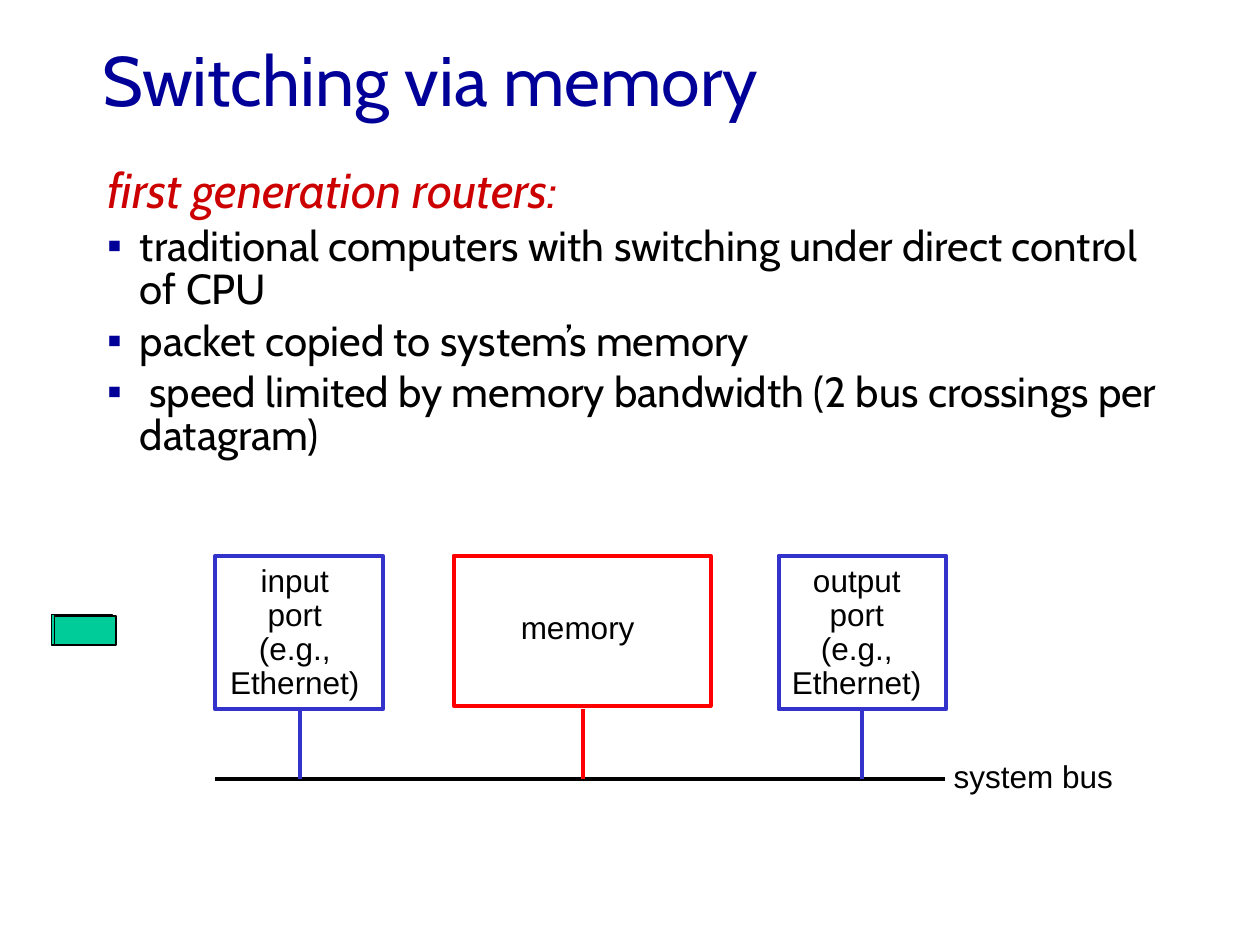
"""Build the slide "Switching via memory"."""
from typing import NamedTuple

from lxml import etree
from pptx import Presentation
from pptx.dml.color import RGBColor
from pptx.enum import shapes, text
from pptx.oxml import ns
from pptx.util import Inches, Pt

NAVY = RGBColor(0x00, 0x00, 0x99)
CRIMSON = RGBColor(0xCC, 0x00, 0x00)
BLACK = RGBColor(0x00, 0x00, 0x00)
WHITE = RGBColor(0xFF, 0xFF, 0xFF)
BLUE = RGBColor(0x33, 0x33, 0xCC)
RED = RGBColor(0xFF, 0x00, 0x00)
GREEN = RGBColor(0x00, 0xCC, 0x99)


class Box(NamedTuple):
    left: float
    top: float
    width: float
    height: float
    line: RGBColor
    fill: RGBColor | None = None
    weight: float = 2.25


class Label(NamedTuple):
    lines: list[str]
    left: float
    top: float
    width: float
    height: float
    align: text.PP_ALIGN = text.PP_ALIGN.CENTER
    spacing: float = 0.9
    wrap: bool = False


class Line(NamedTuple):
    x1: float
    y1: float
    x2: float
    y2: float
    color: RGBColor


def place(sp, left: float, top: float, width: float, height: float) -> None:
    """Move and size a shape, in inches."""
    sp.left, sp.top = Inches(left), Inches(top)
    sp.width, sp.height = Inches(width), Inches(height)


def add_run(p, words: str, font: str, size: float, color: RGBColor, italic: bool = False) -> None:
    """Append one formatted run to a paragraph."""
    r = p.add_run()
    r.text = words
    r.font.name, r.font.size, r.font.italic = font, Pt(size), italic
    r.font.color.rgb = color


def set_bullet(p, char: str | None) -> None:
    """Give a paragraph a hanging indent and a navy bullet, or none."""
    pPr = p._p.get_or_add_pPr()
    pPr.set("marL", str(Inches(0.26)))
    pPr.set("indent", str(-Inches(0.26)))
    if char is None:
        etree.SubElement(pPr, ns.qn("a:buNone"))
        return
    clr = etree.SubElement(pPr, ns.qn("a:buClr"))
    etree.SubElement(clr, ns.qn("a:srgbClr"), val=str(NAVY))
    etree.SubElement(pPr, ns.qn("a:buFont"), typeface="Arial")
    etree.SubElement(pPr, ns.qn("a:buChar"), char=char)


def draw_box(s, box: Box) -> None:
    """Draw an outlined rectangle."""
    sp = s.shapes.add_shape(shapes.MSO_SHAPE.RECTANGLE, *map(Inches, box[:4]))
    sp.shadow.inherit = False
    if box.fill is None:
        sp.fill.background()
    else:
        sp.fill.solid()
        sp.fill.fore_color.rgb = box.fill
    sp.line.color.rgb, sp.line.width = box.line, Pt(box.weight)


def draw_label(s, label: Label) -> None:
    """Draw a text box with one paragraph per line."""
    sp = s.shapes.add_textbox(*map(Inches, label[1:5]))
    tf = sp.text_frame
    tf.word_wrap = label.wrap
    for i, words in enumerate(label.lines):
        p = tf.add_paragraph() if i else tf.paragraphs[0]
        p.alignment, p.line_spacing = label.align, label.spacing
        add_run(p, words, "Arial", 18, BLACK)


def draw_line(s, line: Line) -> None:
    """Draw a straight connector without a shadow."""
    sp = s.shapes.add_connector(shapes.MSO_CONNECTOR.STRAIGHT, *map(Inches, line[:4]))
    sp.line.color.rgb, sp.line.width = line.color, Pt(2.25)
    etree.SubElement(sp._element.spPr, ns.qn("a:effectLst"))


def fill_title(sp) -> None:
    """Write the slide title."""
    place(sp, 0.71, 0.29, 8.5, 0.67)
    tf = sp.text_frame
    tf.auto_size = text.MSO_AUTO_SIZE.NONE
    tf.vertical_anchor = text.MSO_ANCHOR.MIDDLE
    p = tf.paragraphs[0]
    p.alignment = text.PP_ALIGN.LEFT
    add_run(p, "Switching via memory", "Cabin", 40, NAVY)


def fill_body(sp) -> None:
    """Write the heading and the bulleted list."""
    place(sp, 0.75, 1.29, 8.58, 1.17)
    tf = sp.text_frame
    tf.auto_size = text.MSO_AUTO_SIZE.NONE
    tf.vertical_anchor = text.MSO_ANCHOR.TOP
    items = [
        "first generation routers:",
        "traditional computers with switching under direct control of CPU",
        "packet copied to system’s memory",
        " speed limited by memory bandwidth (2 bus crossings per datagram)",
    ]
    for i, words in enumerate(items):
        p = tf.add_paragraph() if i else tf.paragraphs[0]
        set_bullet(p, "▪" if i else None)
        p.line_spacing, p.space_before = 0.85, Pt(5 if i else 0)
        if i:
            add_run(p, words, "Cabin", 24, BLACK)
        else:
            add_run(p, words, "Cabin", 28, CRIMSON, italic=True)


def main() -> None:
    """Build and save the presentation."""
    prs = Presentation()
    prs.slide_width, prs.slide_height = Inches(10), Inches(7.5)
    s = prs.slides.add_slide(prs.slide_layouts[1])
    fill_title(s.shapes.title)
    fill_body(s.placeholders[1])

    for name, left, label_left in (("input", 1.71, 1.72), ("output", 6.18, 6.18)):
        draw_box(s, Box(left, 4.41, 1.33, 1.22, BLUE, WHITE))
        draw_label(s, Label([name, "port", "(e.g.,", "Ethernet)"], label_left, 4.44, 1.24, 1.19))
    draw_box(s, Box(3.6, 4.41, 2.04, 1.19, RED))
    draw_label(s, Label(["memory"], 4.03, 4.81, 1.11, 0.37))

    draw_line(s, Line(1.71, 6.18, 7.5, 6.18, BLACK))
    for x, color in ((2.38, BLUE), (6.84, BLUE), (4.63, RED)):
        draw_line(s, Line(x, 5.63, x, 6.18, color))
    draw_label(s, Label(["system bus"], 7.47, 5.96, 1.48, 0.4, text.PP_ALIGN.LEFT, 1.0, True))

    for left, top, width, height in ((0.41, 4.88, 0.48, 0.24), (0.43, 4.89, 0.49, 0.23)):
        draw_box(s, Box(left, top, width, height, BLACK, GREEN, 0.75))
    prs.save("out.pptx")


if __name__ == "__main__":
    main()
